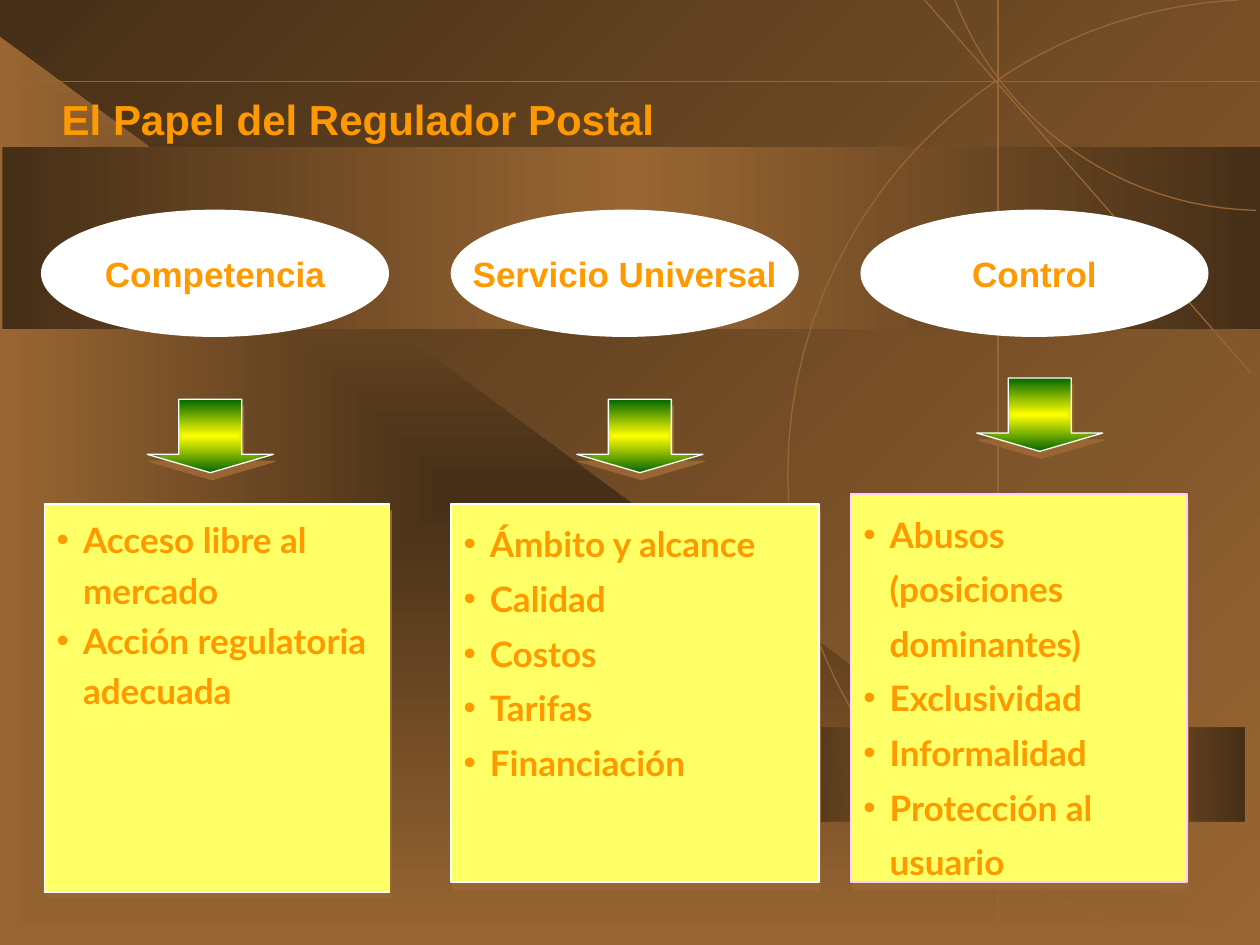
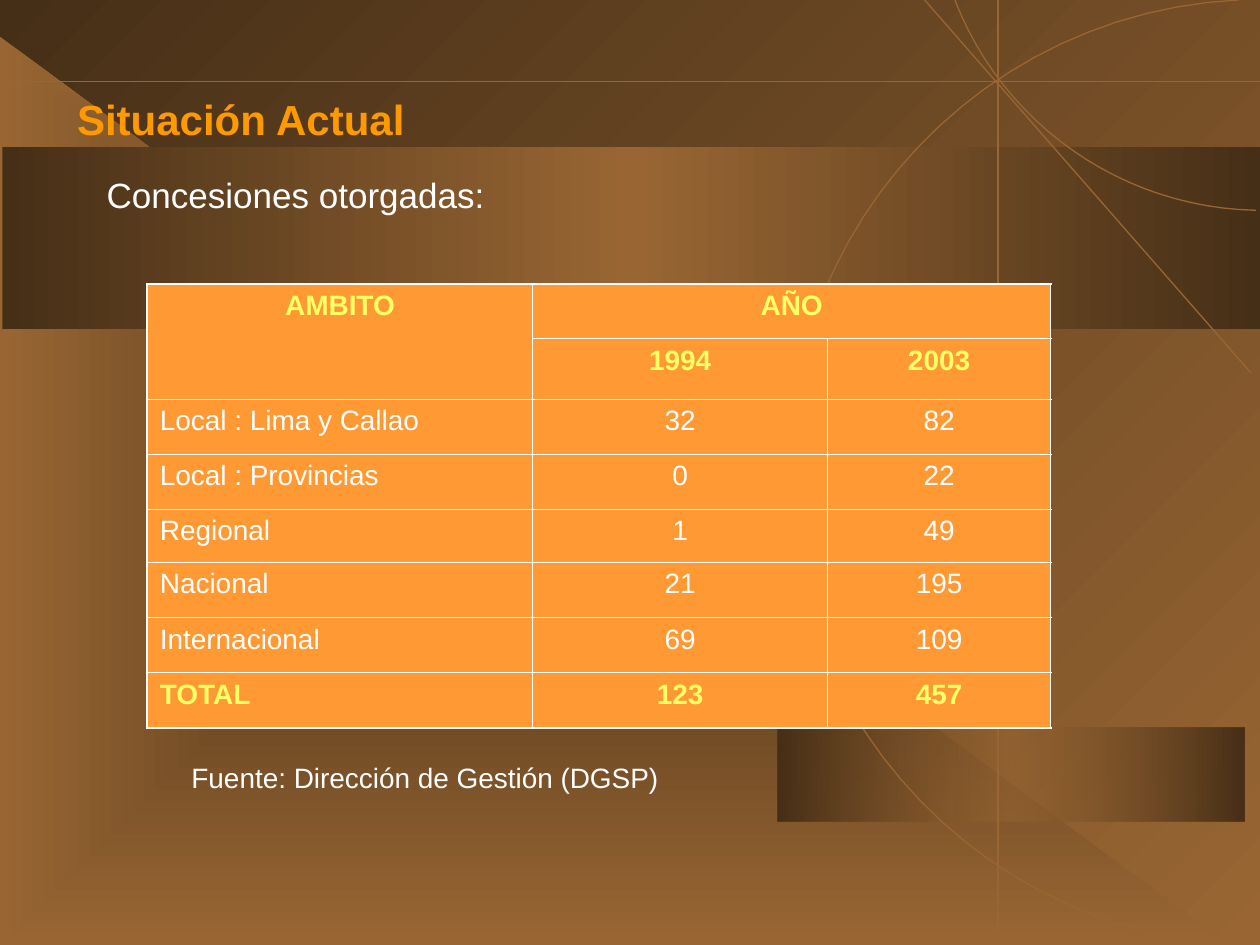
from lxml import etree
from pptx import Presentation
from pptx import util as u
from pptx.dml import color
from pptx.enum import shapes, text
from pptx.oxml import ns

Cm, Pt = u.Cm, u.Pt
BROWN = color.RGBColor(0x99, 0x66, 0x33)
DARK = color.RGBColor(0x46, 0x2F, 0x17)
ORANGE = color.RGBColor(0xFF, 0x99, 0x00)
CELL = color.RGBColor(0xFF, 0x99, 0x33)
YELLOW = color.RGBColor(0xFF, 0xFF, 0x66)
BRIGHT = color.RGBColor(0xFF, 0xFF, 0x00)
GREEN = color.RGBColor(0x00, 0x66, 0x00)
PINK = color.RGBColor(0xFF, 0xCC, 0xFF)
WHITE = color.RGBColor(0xFF, 0xFF, 0xFF)
MIDDLE = text.MSO_ANCHOR.MIDDLE
TOP = text.MSO_ANCHOR.TOP
LEFT = text.PP_ALIGN.LEFT
CENTER = text.PP_ALIGN.CENTER
KIND = shapes.MSO_SHAPE


def sub(node, tag, **attrs):
    """Add an XML child with the given attributes."""
    child = etree.SubElement(node, ns.qn(tag))
    for key, value in attrs.items():
        child.set(key, str(value))
    return child


def curve(start, *bends, steps=24):
    """Points along a chain of cubic curves, in centimetres."""
    points = [start]
    for a, b, end in bends:
        for n in range(1, steps + 1):
            t = n / steps
            weights = ((1 - t) ** 3, 3 * t * (1 - t) ** 2, 3 * t * t * (1 - t), t ** 3)
            points.append(tuple(sum(w * p[k] for w, p in zip(weights, (start, a, b, end)))
                                for k in (0, 1)))
        start = end
    return points


class Deck:
    face = "Arial"
    thin = Pt(0.75)

    def __init__(self):
        self.prs = Presentation()
        self.prs.slide_width, self.prs.slide_height = Cm(25.4), Cm(19.05)
        self.slide = None

    def start(self, layout):
        self.slide = self.prs.slides.add_slide(self.prs.slide_layouts[layout])

    # Text
    def say(self, para, words, size, tint, bold=False, face=None, align=LEFT):
        para.alignment = align
        run = para.add_run()
        run.text = words
        font = run.font
        font.name, font.size, font.bold = face or self.face, Pt(size), bold
        font.color.rgb = tint

    def place(self, item, box):
        item.left, item.top, item.width, item.height = map(Cm, box)

    def title(self, words, left, width):
        head = self.slide.shapes.title
        self.place(head, (left, 1.65, width, 1.47))
        frame = head.text_frame
        frame.auto_size, frame.vertical_anchor = text.MSO_AUTO_SIZE.NONE, MIDDLE
        self.say(frame.paragraphs[0], words, 24, ORANGE, True)

    def label(self, words, box, size, gap=1.0):
        item = self.slide.shapes.add_textbox(*map(Cm, box))
        item.text_frame.word_wrap = True
        para = item.text_frame.paragraphs[0]
        para.line_spacing = gap
        self.say(para, words, size, WHITE)

    def list(self, slot, lines, box, gap, edge):
        item = self.slide.placeholders[slot]
        self.place(item, box)
        self.paint(item, YELLOW, edge)
        self.shade(item)
        frame = item.text_frame
        frame.auto_size, frame.vertical_anchor = text.MSO_AUTO_SIZE.NONE, TOP
        for n, line in enumerate(lines):
            para = frame.add_paragraph() if n else frame.paragraphs[0]
            props = para._p.get_or_add_pPr()
            props.set("marL", str(Cm(0.53)))
            props.set("indent", str(-Cm(0.53)))
            sub(sub(props, "a:buClr"), "a:srgbClr", val=ORANGE)
            sub(props, "a:buChar", char="•")
            para.line_spacing, para.space_before = gap, Pt(0)
            self.say(para, line, 20, ORANGE, True, "Lato")

    # Fills, lines and shadows
    def paint(self, item, fill=None, edge=None):
        if fill is not None:
            item.fill.solid()
            item.fill.fore_color.rgb = fill
        if edge is None:
            item.line.fill.background()
        else:
            item.line.color.rgb, item.line.width = edge, self.thin

    def blend(self, fill, node, stops, angle=None):
        """Gradient of (position, colour, opacity); from the centre without an angle."""
        fill.gradient()
        grad = node.xpath(".//a:gradFill")[0]
        for child in list(grad):
            grad.remove(child)
        group = sub(grad, "a:gsLst")
        for pos, tint, alpha in stops:
            rgb = sub(sub(group, "a:gs", pos=pos * 1000), "a:srgbClr", val=tint)
            if alpha < 100:
                sub(rgb, "a:alpha", val=alpha * 1000)
        if angle is None:
            route = sub(grad, "a:path", path="rect")
            sub(route, "a:fillToRect", l=50000, t=50000, r=50000, b=50000)
        else:
            sub(grad, "a:lin", ang=angle * 60000, scaled=0)

    def shade(self, item):
        item.shadow.inherit = False
        glow = item._element.spPr.find(ns.qn("a:effectLst"))
        cast = sub(glow, "a:outerShdw", blurRad=0, dist=Pt(4.1), dir=76 * 60000,
                   algn="ctr", rotWithShape=0)
        sub(cast, "a:srgbClr", val=BROWN)

    # Shapes
    def shape(self, kind, box, fill=None, edge=None):
        item = self.slide.shapes.add_shape(kind, *map(Cm, box))
        item.shadow.inherit = False
        self.paint(item, fill, edge)
        return item

    def panel(self, kind, box, stops, angle=None):
        item = self.shape(kind, box)
        self.blend(item.fill, item._element, stops, angle)
        return item

    def oval(self, words, box):
        frame = self.shape(KIND.OVAL, box, WHITE, WHITE).text_frame
        frame.word_wrap, frame.vertical_anchor = False, MIDDLE
        self.say(frame.paragraphs[0], words, 20, ORANGE, True, align=CENTER)

    def arrow(self, left, top):
        item = self.panel(KIND.DOWN_ARROW, (left, top, 2.54, 1.48),
                          [(0, BRIGHT, 100), (100, GREEN, 100)])
        item.adjustments[0], item.adjustments[1] = 0.5, 0.25
        self.paint(item, edge=WHITE)
        self.shade(item)

    def arc(self, points):
        spots = [(Cm(x), Cm(y)) for x, y in points]
        pen = self.slide.shapes.build_freeform(*spots[0])
        pen.add_line_segments(spots[1:], close=False)
        item = pen.convert_to_shape()
        item.shadow.inherit = False
        item.fill.background()
        self.paint(item, edge=BROWN)
        return item

    def line(self, *ends):
        item = self.slide.shapes.add_connector(shapes.MSO_CONNECTOR.STRAIGHT, *map(Cm, ends))
        self.paint(item, edge=BROWN)
        sub(item._element.spPr, "a:effectLst")
        return item

    # Shared backdrop, kept on the slide master
    def backdrop(self):
        master = self.prs.slide_master
        self.blend(master.background.fill, master._element,
                   [(0, BROWN, 100), (100, DARK, 100)], 225)
        band = [(0, DARK, 100), (50, BROWN, 100), (100, DARK, 100)]
        faint = [(0, DARK, 100), (50, BROWN, 50), (100, DARK, 100)]
        parts = [
            self.panel(KIND.RIGHT_TRIANGLE, (0, 0.74, 24.77, 18.31),
                       [(0, DARK, 100), (100, BROWN, 100)]),
            self.panel(KIND.RECTANGLE, (15.67, 14.66, 9.42, 1.9), faint, 180),
            self.panel(KIND.RECTANGLE, (0.05, 2.97, 25.35, 3.66), band, 180),
            self.arc(curve((24.97, 0), ((19.86, 0.25), (15.88, 4.47), (15.88, 9.58)),
                           ((15.9, 14.66), (19.94, 18.85), (25.04, 19.05)))),
            self.arc(curve((19.25, 0), ((20.22, 2.51), (22.63, 4.19), (25.32, 4.24)))),
            self.line(25.22, 7.52, 18.64, 0),
            self.line(20.12, 0, 20.12, 18.9),
            self.line(0, 1.65, 25.4, 1.65),
        ]
        for n, part in enumerate(parts, 100):
            part._element.xpath(".//p:cNvPr")[0].set("id", str(n))
            master.shapes._spTree.append(part._element)

    # Table
    def table(self, rows, spot, wide, high, merges):
        grid = self.slide.shapes.add_table(len(rows), len(wide), *map(Cm, spot),
                                           Cm(sum(wide)), Cm(sum(high))).table
        for col, size in zip(grid.columns, wide):
            col.width = Cm(size)
        for row, size in zip(grid.rows, high):
            row.height = Cm(size)
        for first, last in merges:
            grid.cell(*first).merge(grid.cell(*last))
        for r, row in enumerate(rows):
            strong = r < 2 or r == len(rows) - 1
            for c, words in enumerate(row):
                cell = grid.cell(r, c)
                cell.fill.solid()
                cell.fill.fore_color.rgb = CELL
                self.frame(cell, c == 0, c + cell.span_width == len(wide),
                           r == 0, r + cell.span_height == len(rows))
                if words:
                    self.say(cell.text_frame.paragraphs[0], words, 16,
                             YELLOW if strong else WHITE, strong,
                             align=CENTER if c or r < 2 else LEFT)

    def frame(self, cell, *outer):
        props = cell._tc.get_or_add_tcPr()
        for n, (side, rim) in enumerate(zip("LRTB", outer)):
            edge = sub(props, f"a:ln{side}", w=Pt(1.08 if rim else 0.45))
            sub(sub(edge, "a:solidFill"), "a:srgbClr", val=WHITE)
            props.insert(n, edge)


def roles(deck):
    deck.start(4)
    deck.backdrop()
    deck.title("El Papel del Regulador Postal", 0.99, 16.51)

    # Three roles, each with an arrow to its list
    for n, role in enumerate(("Competencia", "Servicio Universal", "Control")):
        deck.oval(role, (0.84 + n * 8.26, 4.24, 6.99, 2.54))
    for left, top in ((2.97, 8.05), (11.63, 8.05), (19.69, 7.62)):
        deck.arrow(left, top)
    deck.list(1, ["Acceso libre al mercado", "Acción regulatoria adecuada"],
              (0.89, 10.16, 6.96, 7.82), 1.2, WHITE)
    deck.list(2, ["Ámbito y alcance", "Calidad", "Costos", "Tarifas", "Financiación"],
              (9.09, 10.16, 7.42, 7.62), 1.3, WHITE)
    deck.list(4, ["Abusos (posiciones dominantes)", "Exclusividad", "Informalidad",
                  "Protección al usuario"], (17.15, 9.96, 6.78, 7.82), 1.3, PINK)
    spare = deck.slide.placeholders[3]._element
    spare.getparent().remove(spare)


def status(deck):
    deck.start(5)
    deck.title("Situación Actual", 1.3, 8.46)
    deck.label("Concesiones otorgadas:", (1.9, 3.38, 12.27, 1.12), 20)

    # Licences by area and year
    rows = [
        ("AMBITO", "AÑO", ""),
        ("", "1994", "2003"),
        ("Local : Lima y Callao", "32", "82"),
        ("Local : Provincias", "0", "22"),
        ("Regional", "1", "49"),
        ("Nacional", "21", "195"),
        ("Internacional", "69", "109"),
        ("TOTAL", "123", "457"),
    ]
    deck.table(rows, (2.97, 5.72), (7.77, 5.94, 4.5),
               (1.11, 1.22, 1.11, 1.11, 1.06, 1.12, 1.11, 1.11),
               [((0, 0), (1, 0)), ((0, 1), (0, 2))])
    deck.label("Fuente: Dirección de Gestión (DGSP)", (3.61, 15.47, 15.44, 0.64), 16, 0.55)


def main():
    deck = Deck()
    roles(deck)
    status(deck)
    deck.prs.save("out.pptx")


if __name__ == "__main__":
    main()
